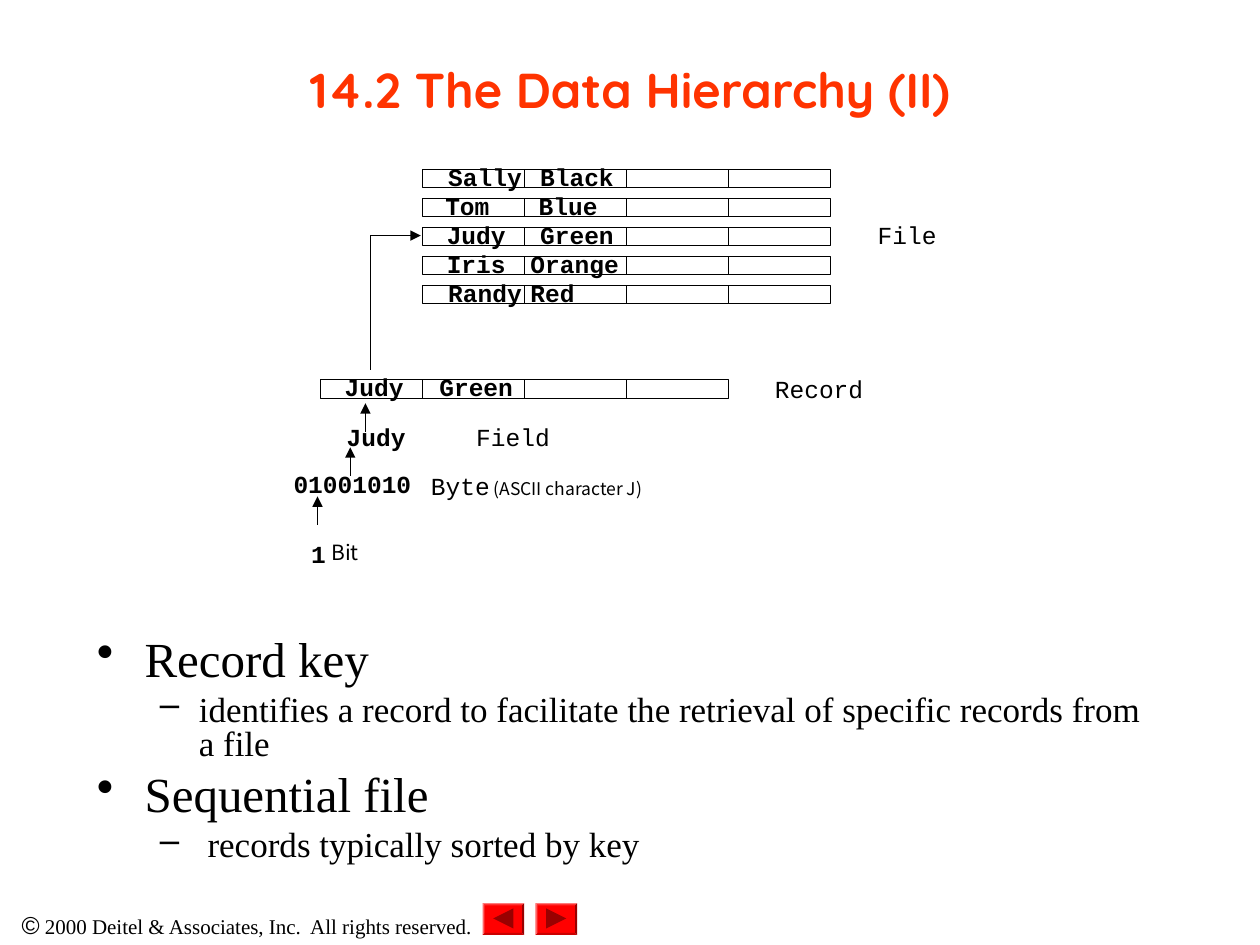
"""Build the slide that explains the data hierarchy from bit to file."""
from dataclasses import dataclass

from lxml.etree import SubElement
from pptx import Presentation
from pptx.dml.color import RGBColor
from pptx.enum.shapes import MSO_CONNECTOR, MSO_SHAPE
from pptx.enum.text import MSO_ANCHOR, PP_ALIGN
from pptx.oxml.ns import qn
from pptx.util import Inches, Pt


@dataclass(frozen=True)
class Theme:
    ink: RGBColor = RGBColor(0, 0, 0)
    heading: RGBColor = RGBColor(0xFF, 0x33, 0x00)
    button: RGBColor = RGBColor(0xFF, 0, 0)
    button_mark: RGBColor = RGBColor(0x99, 0, 0)
    heading_font: str = "Quicksand"
    body_font: str = "Times New Roman"
    code_font: str = "Courier New"
    note_font: str = "Noto Sans CJK JP"
    symbol_font: str = "Arial"
    large: int = 28
    medium: int = 20
    label: int = 14
    small: int = 12
    note: int = 10
    hairline: float = 0.25


@dataclass(frozen=True)
class Span:
    text: str
    size: int
    font: str
    bold: bool = False
    color: RGBColor = Theme.ink


@dataclass(frozen=True)
class Label:
    x: float
    y: float
    spans: tuple[Span, ...]
    width: float
    align: PP_ALIGN = PP_ALIGN.LEFT


@dataclass(frozen=True)
class Record:
    x: float
    y: float
    first: str
    last: str
    first_x: float
    last_x: float
    last_align: PP_ALIGN = PP_ALIGN.CENTER


@dataclass(frozen=True)
class Point:
    text: str
    level: int


THEME = Theme()
FIELDS, FIELD_WIDTH, FIELD_HEIGHT = 4, 0.81, 0.15
FILE_X, FILE_Y, FILE_STEP = 3.35, 1.34, 0.23
PEOPLE = (
    ("Sally", "Black", PP_ALIGN.CENTER),
    ("Tom", "Blue", PP_ALIGN.CENTER),
    ("Judy", "Green", PP_ALIGN.CENTER),
    ("Iris", "Orange", PP_ALIGN.LEFT),
    ("Randy", "Red", PP_ALIGN.LEFT),
)
POINTS = (
    Point("Record key", 0),
    Point("identifies a record to facilitate the retrieval of specific records from a file", 1),
    Point("Sequential file", 0),
    Point(" records typically sorted by key", 1),
)


def add_frame(slide, x: float, y: float, width: float, height: float, inset: bool = True):
    """Add a wrapping text box and return its text frame."""
    frame = slide.shapes.add_textbox(Inches(x), Inches(y), Inches(width), Inches(height)).text_frame
    frame.word_wrap = True
    frame.margin_left = frame.margin_right = Inches(0.1 if inset else 0)
    frame.margin_top = frame.margin_bottom = Inches(0.05 if inset else 0)
    return frame


def write(paragraph, spans: tuple[Span, ...], align: PP_ALIGN = PP_ALIGN.LEFT) -> None:
    """Fill a paragraph with formatted spans."""
    paragraph.alignment = align
    for span in spans:
        run = paragraph.add_run()
        run.text = span.text
        run.font.size, run.font.name = Pt(span.size), span.font
        run.font.bold, run.font.color.rgb = span.bold, span.color


def code(text: str, bold: bool = False) -> Span:
    """Return a span in the typewriter face."""
    return Span(text, THEME.label, THEME.code_font, bold)


def code_label(x: float, y: float, text: str, bold: bool = False,
               align: PP_ALIGN = PP_ALIGN.LEFT) -> Label:
    """Return a label whose width follows its number of letters."""
    return Label(x, y, (code(text, bold),), 0.04 + 0.14 * len(text), align)


def draw_label(slide, label: Label) -> None:
    """Draw one diagram label."""
    paragraph = add_frame(slide, label.x, label.y, label.width, 0.18, inset=False).paragraphs[0]
    write(paragraph, label.spans, label.align)
    paragraph.line_spacing = 0.8


def draw_record(slide, record: Record) -> None:
    """Draw a row of fields with a first and a last name."""
    draw_label(slide, code_label(record.first_x, record.y - 0.01, record.first, True, PP_ALIGN.CENTER))
    draw_label(slide, code_label(record.last_x, record.y - 0.01, record.last, True, record.last_align))
    for column in range(FIELDS):
        field = slide.shapes.add_shape(
            MSO_SHAPE.RECTANGLE, Inches(record.x + column * FIELD_WIDTH), Inches(record.y),
            Inches(FIELD_WIDTH), Inches(FIELD_HEIGHT))
        field.shadow.inherit = False
        field.fill.background()
        field.line.color.rgb, field.line.width = THEME.ink, Pt(THEME.hairline)


def style_arrow(arrow) -> None:
    """Give a line a thin stroke and an arrowhead at its start."""
    arrow.line.color.rgb, arrow.line.width = THEME.ink, Pt(THEME.hairline)
    SubElement(arrow.line._get_or_add_ln(), qn("a:headEnd"), type="triangle")


def draw_up_arrow(slide, x: float, y: float) -> None:
    """Draw a short arrow that points up to the next level."""
    arrow = slide.shapes.add_connector(
        MSO_CONNECTOR.STRAIGHT, Inches(x), Inches(y), Inches(x), Inches(y + 0.23))
    style_arrow(arrow)
    SubElement(arrow._element.spPr, qn("a:effectLst"))


def draw_record_arrow(slide) -> None:
    """Draw the bent arrow from the record to its row in the file."""
    builder = slide.shapes.build_freeform(Inches(3.34), Inches(1.87))
    builder.add_line_segments(
        [(Inches(2.94), Inches(1.87)), (Inches(2.94), Inches(2.94))], close=False)
    arrow = builder.convert_to_shape()
    arrow.fill.background()
    style_arrow(arrow)
    arrow.shadow.inherit = False


def draw_button(slide, x: float, direction: int) -> None:
    """Draw a bevelled navigation button pointing left (-1) or right (1)."""
    button = slide.shapes.add_shape(
        MSO_SHAPE.BEVEL, Inches(x), Inches(7.17), Inches(0.33), Inches(0.25))
    button.adjustments[0] = 0.06
    center, reach = x + 0.165, 0.08 * direction
    builder = slide.shapes.build_freeform(Inches(center - reach), Inches(7.21))
    builder.add_line_segments(
        [(Inches(center + reach), Inches(7.29)), (Inches(center - reach), Inches(7.37))])
    mark = builder.convert_to_shape()
    for part, color in ((button, THEME.button), (mark, THEME.button_mark)):
        part.shadow.inherit = False
        part.fill.solid()
        part.fill.fore_color.rgb = color
        part.line.fill.background()


def draw_points(slide) -> None:
    """Draw the bulleted explanation."""
    frame = add_frame(slide, 0.67, 5.03, 8.5, 1.97)
    for index, point in enumerate(POINTS):
        paragraph = frame.paragraphs[0] if index == 0 else frame.add_paragraph()
        margin, hanging, bullet, size, gap = (
            (0.81, 0.31, "–", THEME.medium, 5) if point.level
            else (0.38, 0.38, "•", THEME.large, 7))
        paragraph.level = point.level
        paragraph.line_spacing = 0.8
        if index:
            paragraph.space_before = Pt(gap)
        properties = paragraph._p.get_or_add_pPr()
        properties.set("marL", str(Inches(margin)))
        properties.set("indent", str(-Inches(hanging)))
        SubElement(properties, qn("a:buChar"), char=bullet)
        write(paragraph, (Span(point.text, size, THEME.body_font),))


def main() -> None:
    """Build and save the slide."""
    deck = Presentation()
    deck.slide_width, deck.slide_height = Inches(10), Inches(7.5)
    slide = deck.slides.add_slide(deck.slide_layouts[6])

    write(add_frame(slide, 0, 7.17, 3.92, 0.34).paragraphs[0], (
        Span("©", THEME.label, THEME.symbol_font),
        Span(" 2000 Deitel & Associates, Inc.  All rights reserved.", THEME.small, THEME.body_font),
    ), PP_ALIGN.CENTER)
    draw_button(slide, 4.25, 1)
    draw_button(slide, 3.83, -1)

    title = add_frame(slide, 0.75, 0.08, 8.5, 1.25)
    title.vertical_anchor = MSO_ANCHOR.MIDDLE
    write(title.paragraphs[0], (Span("14.2 The Data Hierarchy (II)", THEME.large,
                                     THEME.heading_font, True, THEME.heading),), PP_ALIGN.CENTER)
    draw_points(slide)

    for row, (first, last, align) in enumerate(PEOPLE):
        draw_record(slide, Record(FILE_X, FILE_Y + row * FILE_STEP, first, last, 3.48, 4.21, align))
    draw_record(slide, Record(FILE_X - FIELD_WIDTH, 3.01, "Judy", "Green", 2.67, 3.41))
    draw_record_arrow(slide)
    for x, y in ((2.52, 3.94), (2.78, 3.55), (2.9, 3.2)):
        draw_up_arrow(slide, x, y)

    for label in (
        code_label(2.47, 4.32, "1", True),
        code_label(2.33, 3.77, "01001010", True),
        Label(2.49, 3.39, (code("Judy", True),), 0.99, PP_ALIGN.CENTER),
        code_label(6.9, 1.79, "File", align=PP_ALIGN.CENTER),
        code_label(6.15, 3.01, "Record"),
        code_label(3.78, 3.39, "Field"),
        Label(3.42, 3.78, (code("Byte"), Span(" (ASCII character J)", THEME.note, THEME.note_font)), 3.29),
        Label(2.63, 4.32, (Span("Bit", THEME.small, THEME.note_font),), 0.45),
    ):
        draw_label(slide, label)
    deck.save("out.pptx")


if __name__ == "__main__":
    main()
